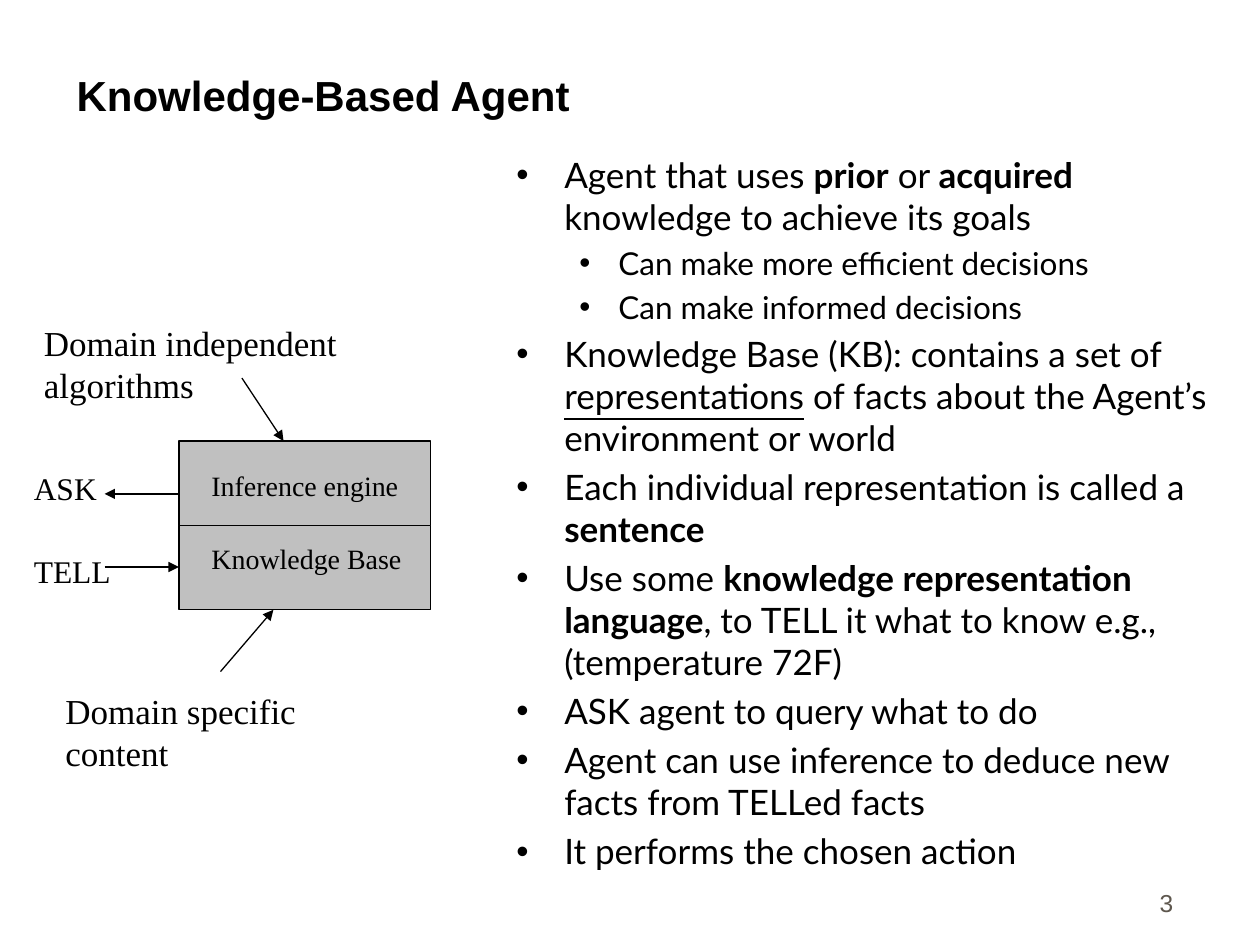
from lxml import etree
from pptx import Presentation
from pptx.dml.color import RGBColor
from pptx.enum.shapes import MSO_CONNECTOR as CONN, MSO_SHAPE as SHAPE
from pptx.enum.text import MSO_ANCHOR as ANCHOR, PP_ALIGN as ALIGN
from pptx.oxml.ns import qn
from pptx.util import Inches, Pt

BLACK = RGBColor(0x00, 0x00, 0x00)
SILVER = RGBColor(0xC0, 0xC0, 0xC0)
BROWN_GRAY = RGBColor(0x5E, 0x57, 0x4E)

SANS, BODY, SERIF = "Arial", "Lato", "Times New Roman"

# Per bullet level: text size, left margin, hanging indent, space before
LEVELS = [(20, 0.38, 0.38, 4), (18, 0.81, 0.31, 3.6)]

# Each bullet: level, then runs; "*" opens a bold run, "_" an underlined one
BULLETS = [
    (0, "Agent that uses ", "*prior", " or ", "*acquired",
     " knowledge to achieve its goals"),
    (1, "Can make more efficient decisions"),
    (1, "Can make informed decisions"),
    (0, "Knowledge Base (KB): contains a set of ", "_representations",
     " of facts about the Agent’s environment or world"),
    (0, "Each individual representation is called a ", "*sentence"),
    (0, "Use some ", "*knowledge representation language",
     ", to TELL it what to know e.g., (temperature 72F)"),
    (0, "ASK agent to query what to do"),
    (0, "Agent can use inference to deduce new facts from TELLed facts"),
    (0, "It performs the chosen action"),
]


class SlideBuilder:
    def __init__(self, prs):
        self.s = prs.slides.add_slide(prs.slide_layouts[6])

    def frame(self, x, y, w, h, anchor=ANCHOR.TOP, wrap=True):
        box = self.s.shapes.add_textbox(Inches(x), Inches(y), Inches(w), Inches(h))
        tf = box.text_frame
        tf.word_wrap = wrap
        tf.vertical_anchor = anchor
        return tf

    def style(self, p, size, font, color=BLACK, bold=False):
        p.font.size, p.font.name, p.font.bold = Pt(size), font, bold
        p.font.color.rgb = color

    def text(self, text, x, y, w, h, size, font=SERIF, color=BLACK, bold=False,
             align=ALIGN.LEFT, anchor=ANCHOR.TOP, wrap=True):
        p = self.frame(x, y, w, h, anchor, wrap).paragraphs[0]
        p.text, p.alignment = text, align
        self.style(p, size, font, color, bold)

    def bullets(self, items, x, y, w, h):
        tf = self.frame(x, y, w, h)
        for i, (level, *runs) in enumerate(items):
            p = tf.add_paragraph() if i else tf.paragraphs[0]
            size, margin, hang, before = LEVELS[level]
            p.level = level
            p.space_before = Pt(before if i else 0)
            self.style(p, size, BODY)
            for text in runs:
                r = p.add_run()
                r.text = text.lstrip("*_")
                if text[0] == "*":
                    r.font.bold = True
                elif text[0] == "_":
                    r.font.underline = True
            self.bullet_mark(p, margin, hang)

    def bullet_mark(self, p, margin, hang):
        pPr = p._p.get_or_add_pPr()
        pPr.set("marL", str(Inches(margin)))
        pPr.set("indent", str(-Inches(hang)))
        mark = [etree.Element(qn("a:buClr")),
                etree.Element(qn("a:buFont"), typeface=SANS),
                etree.Element(qn("a:buChar"), char="•")]
        etree.SubElement(mark[0], qn("a:srgbClr"), val=str(BLACK))
        # Bullet marks come right after the spacing and before the run defaults
        at = len(pPr.findall(qn("a:spcBef")))
        pPr[at:at] = mark

    def box(self, x, y, w, h):
        sp = self.s.shapes.add_shape(SHAPE.RECTANGLE, Inches(x), Inches(y),
                                     Inches(w), Inches(h))
        sp.shadow.inherit = False
        sp.fill.solid()
        sp.fill.fore_color.rgb = SILVER
        sp.line.color.rgb = BLACK
        sp.line.width = Pt(0.75)

    def arrow(self, x1, y1, x2, y2):
        line = self.s.shapes.add_connector(CONN.STRAIGHT, Inches(x1), Inches(y1),
                                           Inches(x2), Inches(y2))
        line.line.color.rgb = BLACK
        line.line.width = Pt(0.75)
        etree.SubElement(line.line._get_or_add_ln(), qn("a:tailEnd"), type="triangle")
        etree.SubElement(line._element.spPr, qn("a:effectLst"))


def main():
    prs = Presentation()
    prs.slide_width, prs.slide_height = Inches(10), Inches(7.5)
    b = SlideBuilder(prs)

    # Page number, title and bullet list
    b.text("3", 7.33, 6.83, 2.08, 0.5, 14, SANS, BROWN_GRAY,
           align=ALIGN.RIGHT, anchor=ANCHOR.BOTTOM)
    b.text("Knowledge-Based Agent", 0.51, 0.25, 8.92, 0.75, 24, SANS, bold=True,
           anchor=ANCHOR.BOTTOM)
    b.bullets(BULLETS, 4, 1.17, 5.75, 5.83)

    # Agent: inference engine stacked on the knowledge base
    left, top, width, height = 1.42, 3.5, 2, 0.67
    for row in range(2):
        b.box(left, top + row * height, width, height)
    b.text("Inference engine", 1.58, 3.67, 1.69, 0.37, 16, wrap=False)
    b.text("Knowledge Base", 1.58, 4.25, 1.71, 0.37, 16, wrap=False)

    # Notes above and below the agent
    b.text("Domain independent algorithms", 0.25, 2.5, 3.74, 0.43, 20)
    b.text("Domain specific content", 0.42, 5.42, 2.88, 0.43, 20)
    b.arrow(1.92, 3, 2.25, top)
    b.arrow(1.75, 5.33, 2.17, top + 2 * height)

    # ASK leaves the agent, TELL enters it
    b.text("ASK", 0.17, 3.67, 0.7, 0.4, 18, wrap=False)
    b.text("TELL", 0.17, 4.33, 0.81, 0.4, 18, wrap=False)
    b.arrow(left, 3.92, 0.83, 3.92)
    b.arrow(0.83, 4.5, left, 4.5)

    prs.save("out.pptx")


if __name__ == "__main__":
    main()
